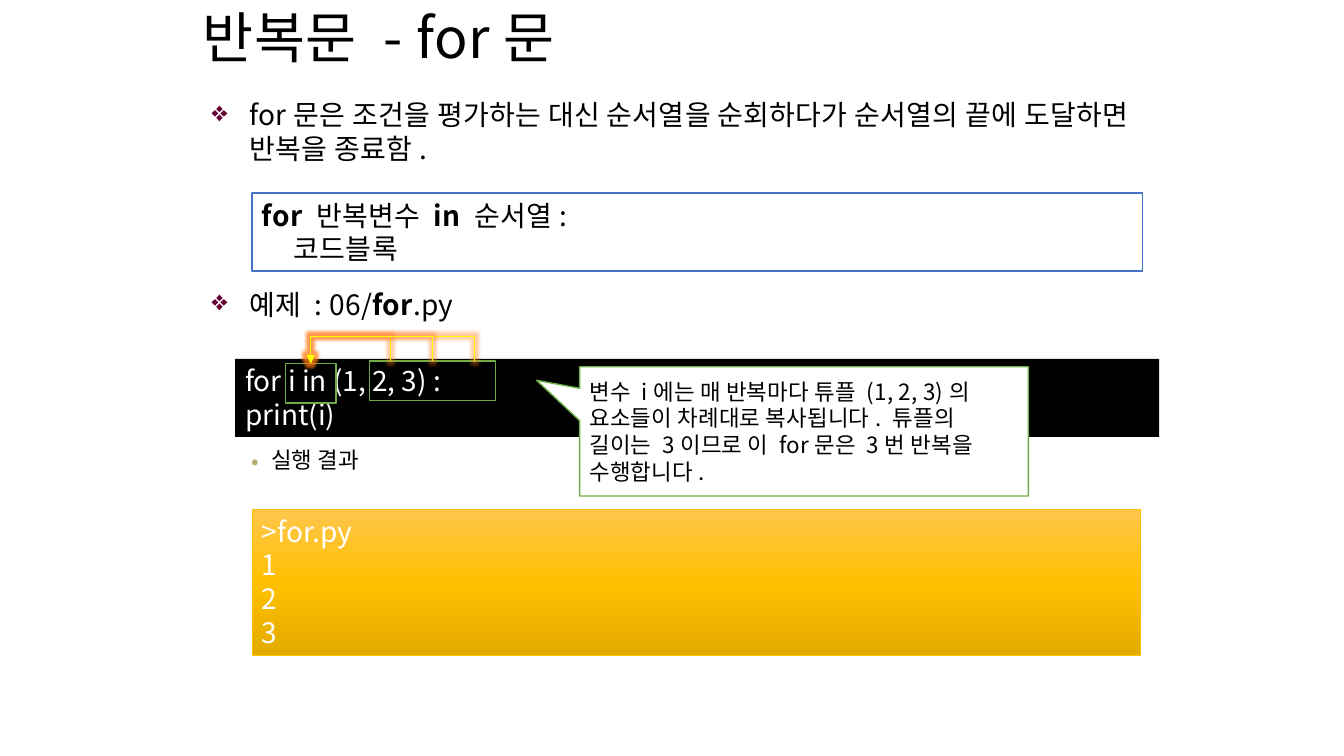
from copy import deepcopy
from pptx import Presentation
from pptx.dml.color import RGBColor
from pptx.enum.shapes import MSO_CONNECTOR, MSO_SHAPE
from pptx.enum.text import MSO_ANCHOR, MSO_AUTO_SIZE, PP_ALIGN
from pptx.oxml import parse_xml
from pptx.oxml.ns import nsdecls, qn
from pptx.util import Pt

FONT = "Noto Sans CJK KR"
NS = nsdecls("a")
HUES = {
    "black": "000000", "white": "FFFFFF", "blue": "4472C4", "green": "70AD47",
    "gold": "FFC000", "light": "FFC64B", "dark": "E3AB00", "yellow": "FFFF00",
    "glow": "FF7A16", "plum": "660033", "olive": "B1AE6B",
}


def rgb(name):
    return RGBColor.from_string(HUES[name])


def write(frame, lines, size=20, hue="black", anchor=MSO_ANCHOR.TOP, track=0.01):
    """Fill a frame with one paragraph per line; every second part between bars is bold."""
    frame.word_wrap = True
    frame.auto_size = MSO_AUTO_SIZE.NONE
    frame.vertical_anchor = anchor
    for n, line in enumerate(lines):
        para = frame.add_paragraph() if n else frame.paragraphs[0]
        para.alignment = PP_ALIGN.LEFT
        para.line_spacing = Pt(round(size * 1.2, 1))
        para.space_before = para.space_after = Pt(0)
        for k, part in enumerate(line.split("|")):
            if not part:
                continue
            run = para.add_run()
            run.text = part
            run.font.size = Pt(size)
            run.font.name = FONT
            run.font.bold = k % 2 == 1
            run.font.color.rgb = rgb(hue)
            props = run._r.get_or_add_rPr()
            props.set("spc", str(round(size * track * 100)))
            props.append(parse_xml(f'<a:ea {NS} typeface="{FONT}"/>'))


deck = Presentation()
deck.slide_width, deck.slide_height = Pt(960), Pt(540)
slide = deck.slides.add_slide(deck.slide_layouts[1])
shapes = slide.shapes

# Title and list
title, body = slide.placeholders
title.left, title.top, title.width, title.height = Pt(137.5), Pt(6.5), Pt(672.5), Pt(45.4)
write(title.text_frame, ["반복문 - for문"], size=39.6, anchor=MSO_ANCHOR.MIDDLE)
title.text_frame.margin_top, title.text_frame.margin_bottom = Pt(0), Pt(7.2)

body.left, body.top, body.width, body.height = Pt(144), Pt(66.2), Pt(684), Pt(450)
write(body.text_frame, [
    "for문은 조건을 평가하는 대신 순서열을 순회하다가 순서열의 끝에 도달하면 반복을 종료함.",
    "예제 : 06/|for|.py",
    "실행 결과",
])
first, sample, result = body.text_frame.paragraphs
bullets = [
    (first, "❖", "OpenSymbol", "plum", 27, 27),
    (sample, "❖", "OpenSymbol", "plum", 27, 27),
    (result, "•", FONT, "olive", 42.5, 14.4),
]
for para, mark, face, hue, left, hang in bullets:
    props = para._p.get_or_add_pPr()
    props.set("marL", str(Pt(left)))
    props.set("indent", str(-Pt(hang)))
    props.append(parse_xml(f'<a:buClr {NS}><a:srgbClr val="{HUES[hue]}"/></a:buClr>'))
    props.append(parse_xml(f'<a:buFont {NS} typeface="{face}"/>'))
    props.append(parse_xml(f'<a:buChar {NS} char="{mark}"/>'))
sample.space_before = result.space_before = Pt(87.5)
result.level = 1
result.line_spacing = Pt(21)
result.runs[0].font.size = Pt(16)

# Code boxes, callout and highlight frames
rect, call = MSO_SHAPE.RECTANGLE, MSO_SHAPE.RECTANGULAR_CALLOUT
boxes = [
    (rect, (180, 138, 636, 55.7), "white", "blue", 1),
    (rect, (168, 256.3, 660, 55.7), "black", None, 0),
    (rect, (180, 363.8, 634.5, 104.4), "gold", "gold", 0.5),
    (call, (414, 262, 320.5, 92.3), "white", "green", 1),
    (rect, (204, 259.8, 36, 28.2), None, "green", 1),
    (rect, (264, 258, 90, 28.3), None, "green", 1),
]
made = []
for kind, place, fill, edge, width in boxes:
    box = shapes.add_shape(kind, *map(Pt, place))
    made.append(box)
    box.shadow.inherit = False
    if fill:
        box.fill.solid()
        box.fill.fore_color.rgb = rgb(fill)
    else:
        box.fill.background()
    if edge:
        box.line.color.rgb = rgb(edge)
        box.line.width = Pt(width)
    else:
        box.line.fill.background()
syntax, code, output, note = made[:4]

write(syntax.text_frame, ["|for |반복변수 |in |순서열:", "코드블록"])
syntax.text_frame.paragraphs[1]._p.get_or_add_pPr().set("marL", str(Pt(22.8)))
write(code.text_frame, ["for i in (1, 2, 3) :", "print(i)"], hue="white", track=0)
write(output.text_frame, [">for.py", "1", "2", "3"], hue="white", track=0)
write(note.text_frame, [
    "변수 i에는 매 반복마다 튜플 (1, 2, 3)의 요소들이 차례대로 복사됩니다. "
    "튜플의 길이는 3이므로 이 for문은 3번 반복을 수행합니다."
], size=16, anchor=MSO_ANCHOR.MIDDLE)
note.text_frame.margin_right = Pt(14)
note.adjustments[0] = -0.596
note.adjustments[1] = -0.395

fill = output.fill
fill.gradient()
fill.gradient_angle = 270
stops = output.element.spPr.find(".//" + qn("a:gsLst"))
stops.append(deepcopy(stops[0]))
for stop, hue, spot in zip(fill.gradient_stops, ("light", "gold", "dark"), (0, 0.5, 1)):
    stop.color.rgb = rgb(hue)
    stop.position = spot

# Arrows from each item up and over to the loop variable
end, top, drop, rise = 222, 258, 1.6, 18
for start in (279, 339, 309):
    span = start - end
    left = (start + end - drop) / 2
    high = top + (drop - span) / 2
    arrow = shapes.add_connector(
        MSO_CONNECTOR.ELBOW, Pt(left), Pt(high), Pt(left + drop), Pt(high + span))
    arrow.line.color.rgb = rgb("yellow")
    arrow.line.width = Pt(0.5)
    props = arrow.element.spPr
    for key, value in (("rot", "16200000"), ("flipH", "1"), ("flipV", "1")):
        props.find(qn("a:xfrm")).set(key, value)
    bend = round(-rise / drop * 100000)
    props.find(".//" + qn("a:avLst")).append(
        parse_xml(f'<a:gd {NS} name="adj1" fmla="val {bend}"/>'))
    props.find(qn("a:ln")).append(parse_xml(f'<a:tailEnd {NS} type="triangle"/>'))
    props.append(parse_xml(
        f'<a:effectLst {NS}><a:glow rad="{Pt(5)}"><a:srgbClr val="{HUES["glow"]}">'
        '<a:alpha val="40000"/></a:srgbClr></a:glow></a:effectLst>'))

deck.save("out.pptx")
